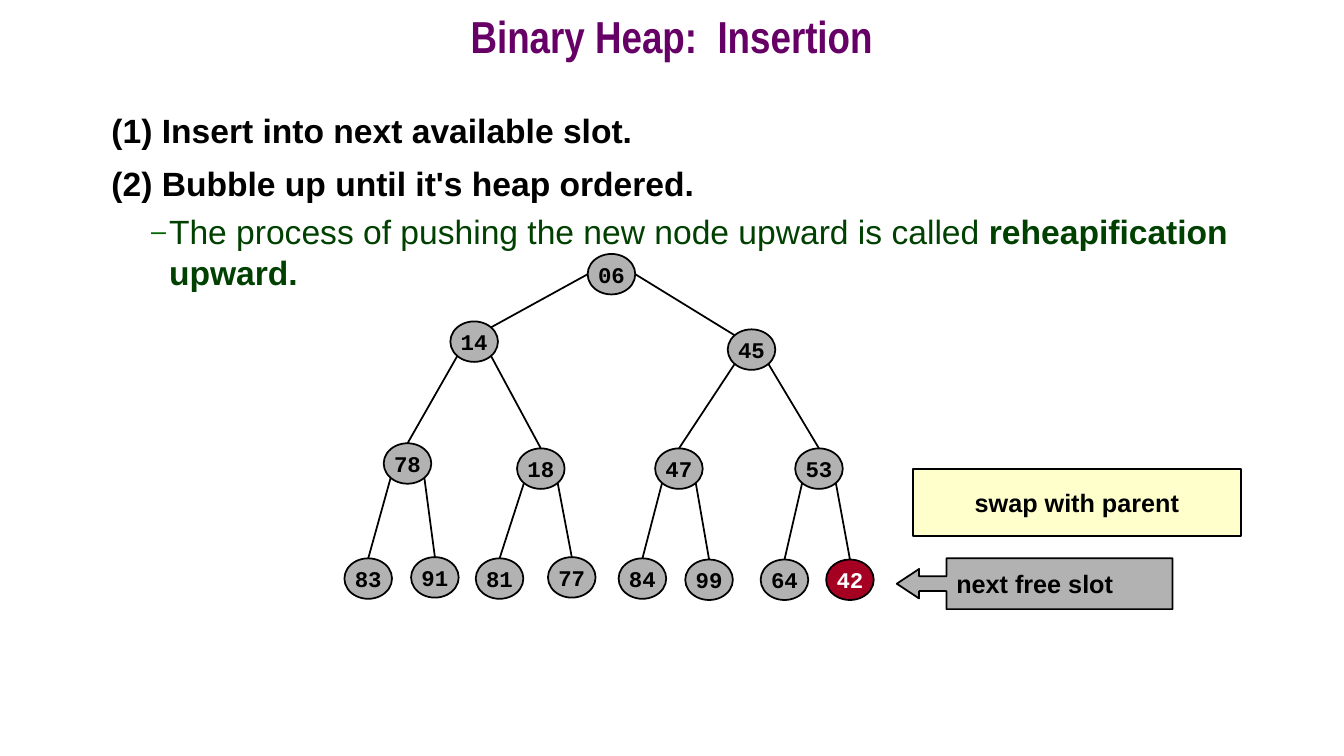
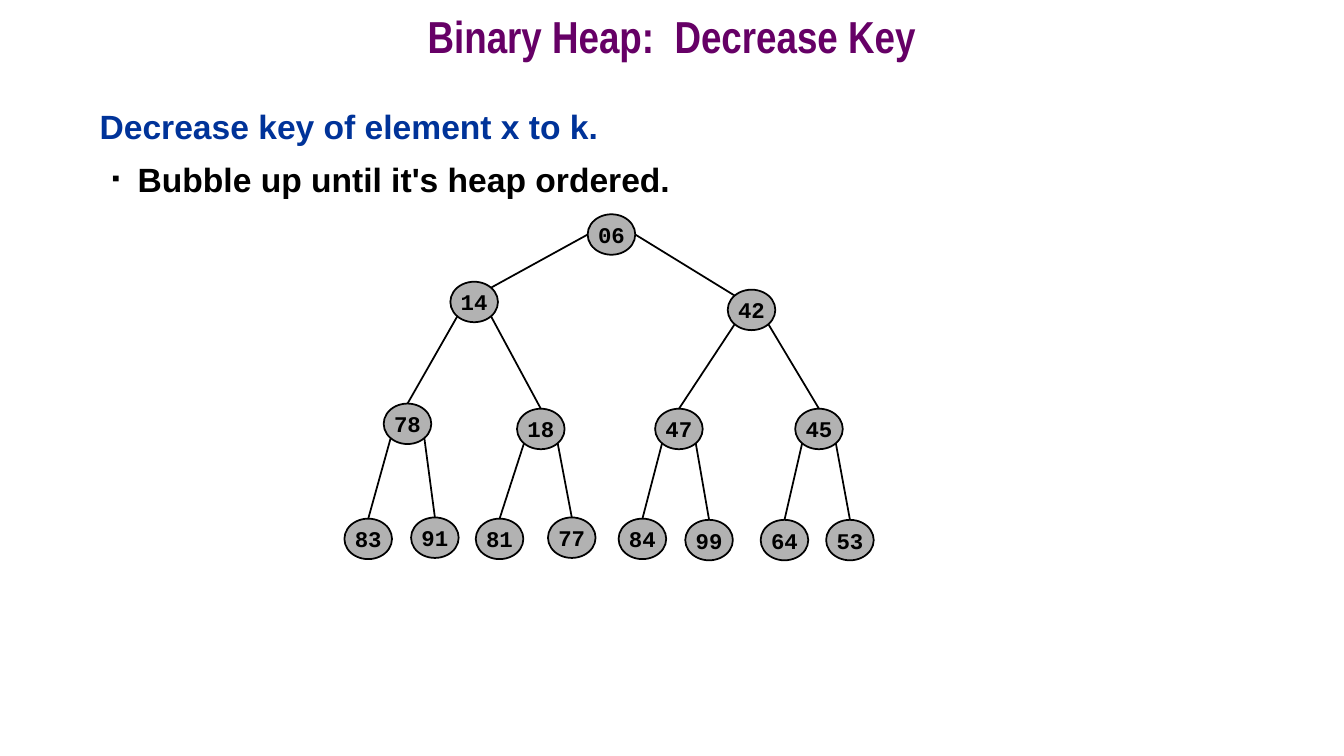
from lxml.etree import SubElement
from pptx import Presentation
from pptx.dml.color import RGBColor
from pptx.enum.shapes import MSO_CONNECTOR, MSO_SHAPE
from pptx.enum.text import MSO_ANCHOR, PP_ALIGN
from pptx.oxml.ns import qn
from pptx.util import Cm, Pt

BLACK, WHITE, GRAY = "000000", "FFFFFF", "B2B2B2"
PURPLE, BLUE, GREEN, RED, CREAM = "660066", "003399", "004000", "A50021", "FFFFCC"

# Text formats
TITLE = {"name": "Arial Narrow", "size": Pt(32), "bold": True, "color": PURPLE}
STEP = {"name": "Arial", "size": Pt(24), "bold": True, "color": BLACK}
HEADING = STEP | {"color": BLUE}
TERM = STEP | {"color": GREEN}
DETAIL = TERM | {"bold": False}
LABEL = STEP | {"size": Pt(18)}
KEY = {"name": "Courier New", "size": Pt(16), "bold": True, "color": BLACK}

# Paragraph formats: indents in cm, bullet as sign, colour and size in percent
PLAIN = {"left": 0, "hang": 0, "spacing": 1.0}
NUMBERED = {"left": 0.3, "hang": 0, "spacing": 1.1}
DASHED = {"left": 1.75, "hang": 0.45, "spacing": 1.0, "bullet": ("–", "006600", 80)}
SQUARED = {"left": 0.96, "hang": 0.64, "spacing": 1.1, "bullet": ("■", BLACK, 35)}

# Node centres in level order: x on the slide, y below the root, in cm
ROOT_Y = 6.91
CENTERS = [
    (15.41, 0),
    (11.95, 1.7), (18.94, 1.9),
    (10.27, 4.77), (13.63, 4.9), (17.11, 4.9), (20.64, 4.9),
    (9.28, 7.67), (10.96, 7.64), (12.59, 7.67), (14.41, 7.64),
    (16.19, 7.67), (17.87, 7.7), (19.77, 7.7), (21.42, 7.7),
]
NODE_WIDTH, NODE_HEIGHT = 1.2, 1.02
DIAGONAL = 0.5 ** 0.5 / 2


def rgb(value):
    return RGBColor.from_string(value)


class HeapDeck:
    def __init__(self):
        self.deck = Presentation()
        self.deck.slide_width, self.deck.slide_height = Cm(33.87), Cm(19.05)
        self.page = None

    def add_page(self, title):
        self.page = self.deck.slides.add_slide(self.deck.slide_layouts[6])
        box = self.page.shapes.add_textbox(0, 0, self.deck.slide_width, Cm(2.11))
        frame = box.text_frame
        frame.word_wrap = True
        frame.vertical_anchor = MSO_ANCHOR.MIDDLE
        para = frame.paragraphs[0]
        para.alignment, para.line_spacing = PP_ALIGN.CENTER, 0.7
        self.span(para, title, TITLE)

    def span(self, para, text, style):
        run = para.add_run()
        run.text = text
        for name, value in style.items():
            if name == "color":
                run.font.color.rgb = rgb(value)
            else:
                setattr(run.font, name, value)

    def bullet(self, props, sign, color, percent):
        tint = SubElement(props, qn("a:buClr"))
        SubElement(tint, qn("a:srgbClr"), val=color)
        SubElement(props, qn("a:buSzPct"), val=str(percent * 1000))
        SubElement(props, qn("a:buFont"), typeface="Arial")
        SubElement(props, qn("a:buChar"), char=sign)

    def body(self, items):
        box = self.page.shapes.add_textbox(Cm(2.26), Cm(2.54), Cm(29.06), Cm(15.04))
        frame = box.text_frame
        frame.word_wrap = True
        for number, (layout, spans) in enumerate(items):
            para = frame.add_paragraph() if number else frame.paragraphs[0]
            props = para._p.get_or_add_pPr()
            props.set("marL", str(Cm(layout["left"])))
            props.set("indent", str(-Cm(layout["hang"])))
            if "bullet" in layout:
                self.bullet(props, *layout["bullet"])
            para.line_spacing = layout["spacing"]
            para.space_before = Pt(6 if number else 0)
            for text, style in spans:
                self.span(para, text, style)

    def shape(self, kind, area, fill, text, style, align=PP_ALIGN.CENTER, wrap=False):
        shape = self.page.shapes.add_shape(kind, *map(Cm, area))
        shape.shadow.inherit = False
        shape.fill.solid()
        shape.fill.fore_color.rgb = rgb(fill)
        shape.line.color.rgb = rgb(BLACK)
        shape.line.width = Pt(1.25)
        frame = shape.text_frame
        frame.word_wrap = wrap
        frame.vertical_anchor = MSO_ANCHOR.MIDDLE
        para = frame.paragraphs[0]
        para.alignment = align
        self.span(para, text, style)
        return shape

    def edge(self, start, end):
        line = self.page.shapes.add_connector(
            MSO_CONNECTOR.STRAIGHT, *map(Cm, start + end))
        line.line.color.rgb = rgb(BLACK)
        line.line.width = Pt(1.25)
        SubElement(line._element.spPr, qn("a:effectLst"))

    def node(self, center, key, marked):
        x, y = center
        area = (x - NODE_WIDTH / 2, y - NODE_HEIGHT / 2, NODE_WIDTH, NODE_HEIGHT)
        fill, color = (RED, WHITE) if marked else (GRAY, BLACK)
        shape = self.shape(MSO_SHAPE.OVAL, area, fill, key, KEY | {"color": color})
        for side in ("left", "right", "top", "bottom"):
            setattr(shape.text_frame, f"margin_{side}", 0)

    def heap(self, keys, root_y, marked=None):
        centers = [(x, root_y + y) for x, y in CENTERS]
        across, down = NODE_WIDTH * DIAGONAL, NODE_HEIGHT * DIAGONAL
        # Edges, from each parent to its left (odd) or right (even) child
        for index in range(1, len(centers)):
            parent = (index - 1) // 2
            side = -1 if index % 2 else 1
            (px, py), (x, y) = centers[parent], centers[index]
            if parent == 0:
                self.edge((px + side * NODE_WIDTH / 2, py), (x - side * across, y - down))
            else:
                self.edge((px + side * across, py + down), (x, y - NODE_HEIGHT / 2))
        # Nodes on top of the edges
        for center, key in zip(centers, keys.split()):
            self.node(center, key, key == marked)


def main():
    heap = HeapDeck()

    # Insertion
    heap.add_page("Binary Heap:  Insertion")
    heap.body([
        (NUMBERED, [("(1) Insert into next available slot.", STEP)]),
        (NUMBERED, [("(2) Bubble up until it's heap ordered.", STEP)]),
        (DASHED, [("The process of pushing the new node upward is called ", DETAIL),
                  ("reheapification upward.", TERM)]),
    ])
    heap.heap("06 14 45 78 18 47 53 83 91 81 77 84 99 64 42", ROOT_Y, marked="42")
    callout = heap.shape(MSO_SHAPE.LEFT_ARROW_CALLOUT, (22.6, 14.07, 6.95, 1.28), GRAY,
                         "next free slot", LABEL, PP_ALIGN.LEFT, wrap=True)
    for index, value in enumerate((0.29, 0.29, 0.44, 0.82)):
        callout.adjustments[index] = value
    heap.shape(MSO_SHAPE.RECTANGLE, (23.01, 11.81, 8.26, 1.7), CREAM,
               "swap with parent", LABEL)

    # Decrease key
    heap.add_page("Binary Heap:  Decrease Key")
    heap.body([
        (PLAIN, [("Decrease key of element x to k.", HEADING)]),
        (SQUARED, [("Bubble up until it's heap ordered.", STEP)]),
    ])
    heap.heap("06 14 42 78 18 47 45 83 91 81 77 84 99 64 53", ROOT_Y - 1)

    heap.deck.save("out.pptx")


if __name__ == "__main__":
    main()
